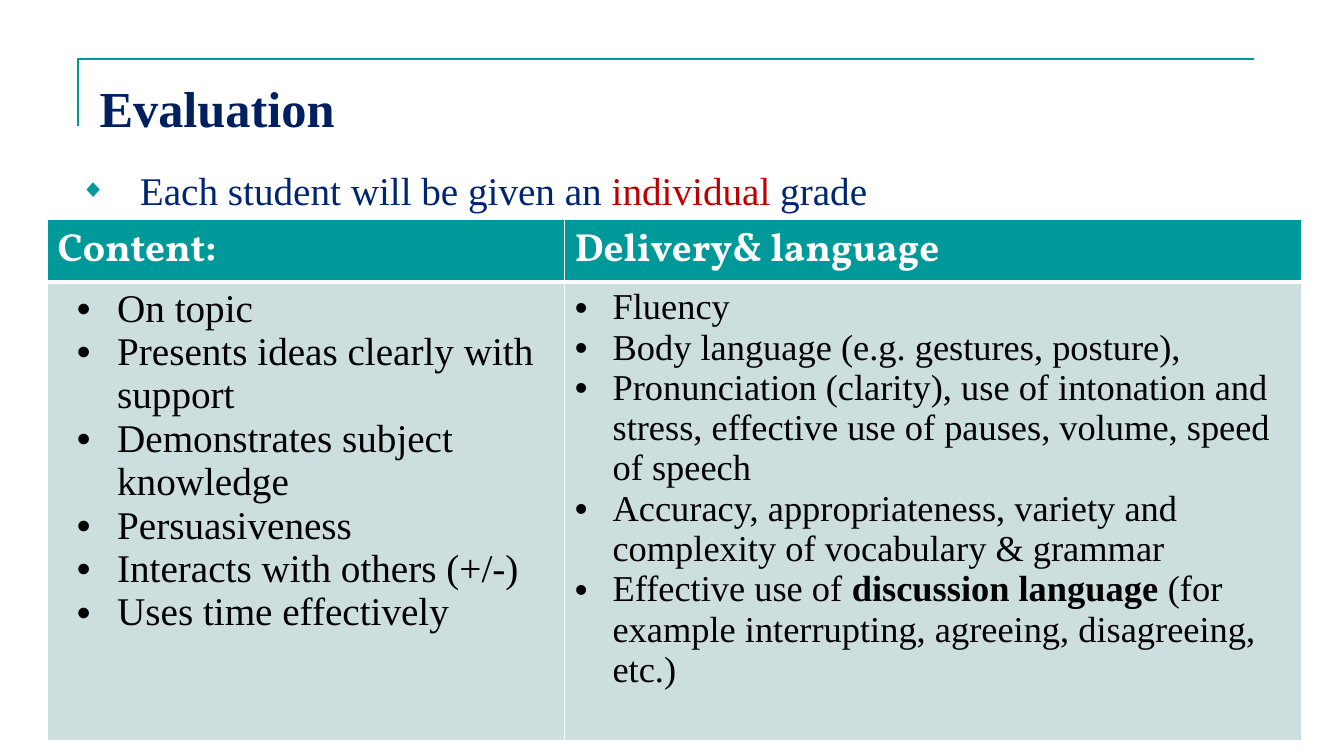
"""Build the Evaluation slide: a title, one bullet and a two-column criteria table."""
import pptx
import pptx.dml.color
import pptx.oxml.ns
import pptx.util
from lxml import etree

Pt = pptx.util.Pt
SERIF = "Times New Roman"
TEAL, WHITE, PALE, BLACK = "009999", "FFFFFF", "CCDEDE", "000000"
NAVY, BLUE, RED = "002060", "002673", "C00000"

TITLE = [("Evaluation", NAVY, True)]
INTRO = [("Each student will be given an ", BLUE, False),
         ("individual", RED, False), (" grade", BLUE, False)]
COLUMNS = [
    {"heading": "Content:", "width": 369.4, "size": 28, "left": 42.5, "hang": 28.8,
     "items": ["On topic", "Presents ideas clearly with support",
               "Demonstrates subject knowledge", "Persuasiveness",
               "Interacts with others (+/-)", "Uses time effectively"]},
    {"heading": "Delivery& language", "width": 526.3, "size": 26, "left": 27, "hang": 27,
     "items": ["Fluency", "Body language (e.g. gestures, posture),",
               "Pronunciation (clarity), use of intonation and stress, "
               "effective use of pauses, volume, speed of speech",
               "Accuracy, appropriateness, variety and complexity of vocabulary & grammar",
               [("Effective use of ", BLACK, False),
                ("discussion language ", BLACK, True),
                ("(for example interrupting, agreeing, disagreeing, etc.)", BLACK, False)]]},
]
ROW_HEIGHTS = [45.1, 327.6]


def color(value):
    return pptx.dml.color.RGBColor.from_string(value)


def add_xml(parent, tag, **attributes):
    return etree.SubElement(parent, pptx.oxml.ns.qn(tag), attributes)


def write(para, spans, size, font=SERIF):
    for text, ink, bold in spans:
        span = para.add_run()
        span.text = text
        span.font.name = font
        span.font.size = Pt(size)
        span.font.bold = bold
        span.font.color.rgb = color(ink)


def add_bullet(para, mark, left, hang, ink=None, percent=None):
    properties = para._p.get_or_add_pPr()
    properties.set("marL", str(Pt(left)))
    properties.set("indent", str(-Pt(hang)))
    if ink:
        add_xml(add_xml(properties, "a:buClr"), "a:srgbClr", val=ink)
    if percent:
        add_xml(properties, "a:buSzPct", val=str(percent * 1000))
    add_xml(properties, "a:buFont", typeface="Arial")
    add_xml(properties, "a:buChar", char=mark)


def add_text(page, left, top, width, height):
    frame = page.shapes.add_textbox(Pt(left), Pt(top), Pt(width), Pt(height)).text_frame
    frame.word_wrap = True
    frame.margin_top = Pt(7.2)
    return frame.paragraphs[0]


def style_cell(cell, fill, top, bottom):
    properties = cell._tc.get_or_add_tcPr()
    for side, weight in (("L", 1), ("R", 1), ("T", top), ("B", bottom)):
        line = add_xml(properties, f"a:ln{side}", w=str(Pt(weight)))
        add_xml(add_xml(line, "a:solidFill"), "a:srgbClr", val=WHITE)
    cell.fill.solid()
    cell.fill.fore_color.rgb = color(fill)


def add_frame_line(page):
    builder = page.shapes.build_freeform(Pt(56), Pt(90), scale=1.0)
    builder.add_line_segments([(Pt(56), Pt(42)), (Pt(896), Pt(42))], close=False)
    outline = builder.convert_to_shape()
    outline.shadow.inherit = False
    outline.fill.background()
    outline.line.color.rgb = color(TEAL)
    outline.line.width = Pt(1.5)


def add_criteria(page):
    width = sum(column["width"] for column in COLUMNS)
    table = page.shapes.add_table(len(ROW_HEIGHTS), len(COLUMNS), Pt(34), Pt(156.5),
                                  Pt(width), Pt(sum(ROW_HEIGHTS))).table
    for row, height in zip(table.rows, ROW_HEIGHTS):
        row.height = Pt(height)
    for index, column in enumerate(COLUMNS):
        table.columns[index].width = Pt(column["width"])
        heading, body = table.cell(0, index), table.cell(1, index)
        style_cell(heading, TEAL, 1, 3)
        style_cell(body, PALE, 3, 1)
        write(heading.text_frame.paragraphs[0], [(column["heading"], WHITE, True)], 28, "Vollkorn")
        for number, item in enumerate(column["items"]):
            frame = body.text_frame
            para = frame.add_paragraph() if number else frame.paragraphs[0]
            add_bullet(para, "•", column["left"], column["hang"])
            spans = [(item, BLACK, False)] if isinstance(item, str) else item
            write(para, spans, column["size"])


def main():
    deck = pptx.Presentation()
    deck.slide_width, deck.slide_height = Pt(960), Pt(540)
    page = deck.slides.add_slide(deck.slide_layouts[6])
    add_frame_line(page)
    write(add_text(page, 64, 48, 824, 70), TITLE, 36)
    intro = add_text(page, 50.4, 95, 824, 350)
    add_bullet(intro, "◆", 42.5, 42.5, TEAL, 65)
    intro.line_spacing = 1.5
    write(intro, INTRO, 28)
    add_criteria(page)
    deck.save("out.pptx")


if __name__ == "__main__":
    main()
